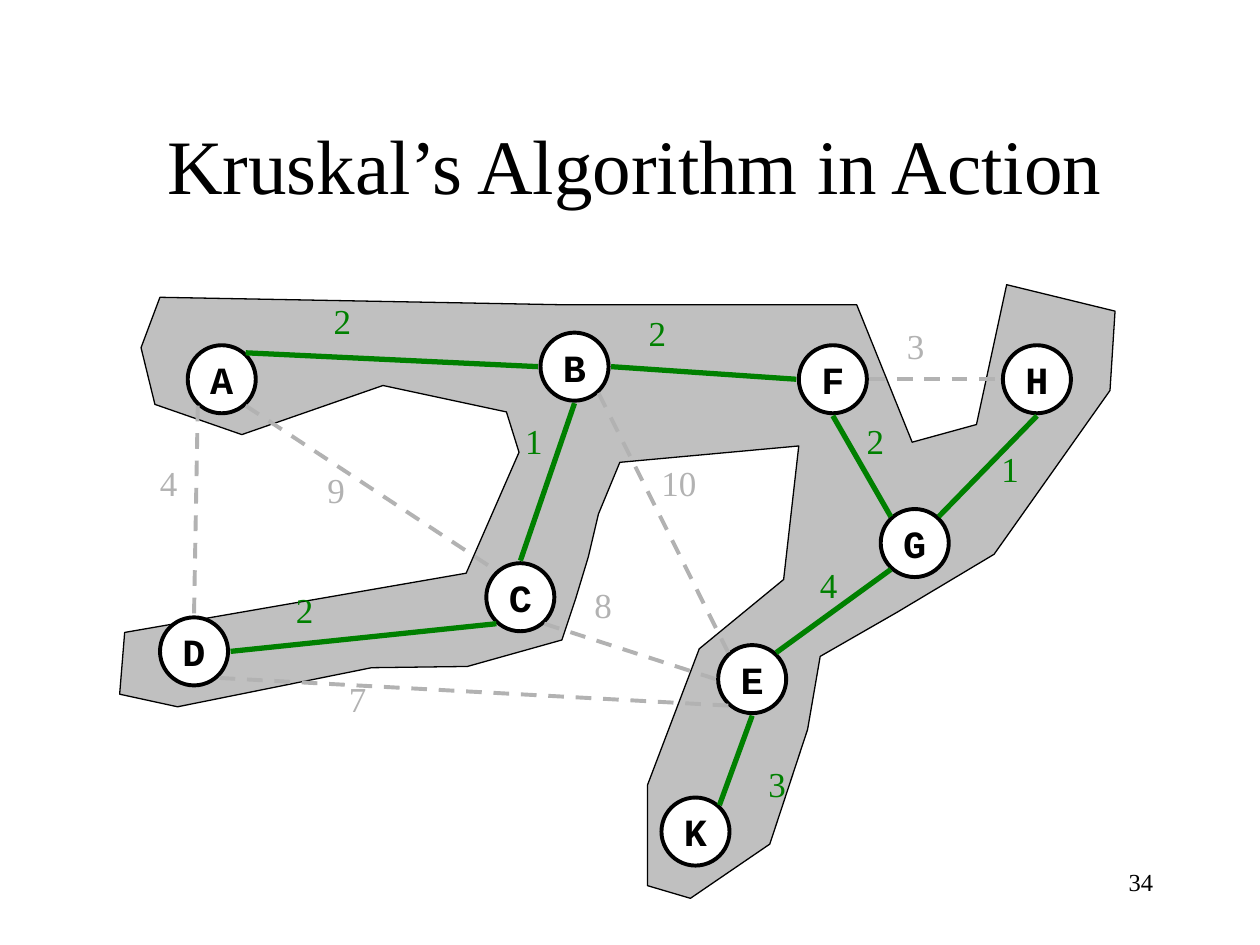
import pptx
import pptx.util
import pptx.dml.color
import pptx.enum.dml
import pptx.enum.shapes
import pptx.enum.text
import pptx.oxml.ns
import lxml.etree

RGB = pptx.dml.color.RGBColor
BLACK = RGB(0x00, 0x00, 0x00)
WHITE = RGB(0xFF, 0xFF, 0xFF)
CLUSTER_GREY = RGB(0xC0, 0xC0, 0xC0)
TREE_GREEN = RGB(0x00, 0x80, 0x00)
REJECTED_GREY = RGB(0xB2, 0xB2, 0xB2)

SERIF, MONO = "Times New Roman", "Courier New"
ALIGN = pptx.enum.text.PP_ALIGN
ANCHOR = pptx.enum.text.MSO_ANCHOR

# The slide is a grid of 10 columns by 7.5 rows of equal size
CELL = pptx.util.Inches(1)
COLUMNS, ROWS = 10, 7.5
NODE_SIZE = 0.54

# Centre of each node: column, row
NODES = {
    "A": (1.76, 3.01), "B": (4.56, 2.91), "C": (4.13, 4.74),
    "D": (1.54, 5.17), "E": (5.97, 5.39), "F": (6.61, 3.01),
    "G": (7.26, 4.31), "H": (8.23, 3.01), "K": (5.52, 6.6),
}

# Where an edge meets a node, as an offset from the node's centre
PORTS = {
    "N": (0, -0.29), "S": (0, 0.29), "W": (-0.29, 0), "E": (0.29, 0),
    "NW": (-0.19, -0.21), "NE": (0.19, -0.21),
    "SW": (-0.19, 0.21), "SE": (0.19, 0.21),
}

# Node, port, node, port, weight, left and top of the weight
TREE_EDGES = [
    ("A", "NE", "B", "W", 2, 2.55, 2.33),
    ("B", "S", "C", "N", 1, 4.07, 3.28),
    ("D", "E", "C", "SW", 2, 2.25, 4.62),
    ("B", "E", "F", "W", 2, 5.05, 2.42),
    ("G", "NW", "F", "S", 2, 6.78, 3.28),
    ("H", "S", "G", "NE", 1, 7.85, 3.5),
    ("E", "NE", "G", "SW", 4, 6.41, 4.42),
    ("E", "S", "K", "NE", 3, 6, 6),
]
REJECTED_EDGES = [
    ("A", "SW", "D", "N", 4, 1.17, 3.61),
    ("A", "SE", "C", "NW", 9, 2.5, 3.67),
    ("C", "SE", "E", "W", 8, 4.62, 4.58),
    ("E", "SW", "D", "SE", 7, 2.67, 5.33),
    ("F", "E", "H", "W", 3, 7.1, 2.53),
    ("B", "SE", "E", "NW", 10, 5.15, 3.61),
]

CLUSTER_OUTLINE = [
    (4.5, 2.42), (1.27, 2.36), (1.12, 2.76), (1.23, 3.21), (1.92, 3.45),
    (3.04, 3.06), (4.02, 3.27), (4.12, 3.59), (3.7, 4.55), (0.99, 5.02),
    (0.95, 5.51), (1.41, 5.61), (2.95, 5.3), (3.71, 5.29), (4.46, 5.08),
    (4.57, 4.75), (4.67, 4.42), (4.75, 4.08), (4.92, 3.67), (6.34, 3.54),
    (6.22, 4.6), (5.55, 5.15), (5.14, 6.23), (5.14, 7.03), (5.48, 7.13),
    (6.11, 6.7), (6.41, 5.79), (6.51, 5.21), (7.12, 4.86), (7.89, 4.4),
    (8.81, 3.1), (8.85, 2.47), (7.99, 2.26), (7.75, 3.37), (7.24, 3.51),
    (6.8, 2.42),
]


def cells(*lengths):
    return [round(length * CELL) for length in lengths]


def write(shape, text, size, color, font=SERIF, bold=False, align=ALIGN.LEFT,
          anchor=ANCHOR.TOP, wrap=False):
    frame = shape.text_frame
    frame.word_wrap = wrap
    frame.vertical_anchor = anchor
    paragraph = frame.paragraphs[0]
    paragraph.text = text
    paragraph.alignment = align
    paragraph.font.name = font
    paragraph.font.size = pptx.util.Pt(size)
    paragraph.font.bold = bold
    paragraph.font.color.rgb = color


def paint(shape, fill, line_width):
    shape.shadow.inherit = False
    shape.fill.solid()
    shape.fill.fore_color.rgb = fill
    shape.line.color.rgb = BLACK
    shape.line.width = pptx.util.Pt(line_width)


def add_text(slide, box, text, size, color, **style):
    label = slide.shapes.add_textbox(*cells(*box))
    write(label, text, size, color, **style)
    return label


def add_cluster(slide):
    start, *corners = [cells(*corner) for corner in CLUSTER_OUTLINE]
    outline = slide.shapes.build_freeform(*start)
    outline.add_line_segments(corners, close=True)
    paint(outline.convert_to_shape(), CLUSTER_GREY, 0.75)


def add_node(slide, name):
    column, row = NODES[name]
    half = NODE_SIZE / 2
    node = slide.shapes.add_shape(
        pptx.enum.shapes.MSO_SHAPE.OVAL,
        *cells(column - half, row - half, NODE_SIZE, NODE_SIZE))
    paint(node, WHITE, 2.25)
    write(node, name, 22, BLACK, font=MONO, bold=True,
          align=ALIGN.CENTER, anchor=ANCHOR.MIDDLE)


def port_position(name, port):
    return [centre + offset for centre, offset in zip(NODES[name], PORTS[port])]


def add_edge(slide, edge, color, width, dash=None):
    first, first_port, second, second_port, weight, left, top = edge
    line = slide.shapes.add_connector(
        pptx.enum.shapes.MSO_CONNECTOR.STRAIGHT,
        *cells(*port_position(first, first_port),
               *port_position(second, second_port)))
    line.line.color.rgb = color
    line.line.width = pptx.util.Pt(width)
    if dash:
        line.line.dash_style = dash
    properties = line._element.spPr
    lxml.etree.SubElement(properties, pptx.oxml.ns.qn("a:effectLst"))

    weight_width = 0.2 + 0.14 * len(str(weight))
    label = add_text(slide, (left, top, weight_width, 0.44),
                     str(weight), 20, color)
    label.text_frame.auto_size = pptx.enum.text.MSO_AUTO_SIZE.SHAPE_TO_FIT_TEXT


def main():
    deck = pptx.Presentation()
    deck.slide_width, deck.slide_height = cells(COLUMNS, ROWS)
    slide = deck.slides.add_slide(deck.slide_layouts[6])

    # Connected cluster behind the graph
    add_cluster(slide)

    # Title
    add_text(slide, (0.25, 0.67, 9.58, 1.25), "Kruskal’s Algorithm in Action",
             44, BLACK, align=ALIGN.CENTER, anchor=ANCHOR.MIDDLE, wrap=True)

    # Graph
    for name in NODES:
        add_node(slide, name)
    for edge in REJECTED_EDGES:
        add_edge(slide, edge, REJECTED_GREY, 2.25,
                 pptx.enum.dml.MSO_LINE.DASH)
    for edge in TREE_EDGES:
        add_edge(slide, edge, TREE_GREEN, 3)

    # Page number
    add_text(slide, (7.17, 6.83, 2.08, 0.5), "34", 14, BLACK,
             align=ALIGN.RIGHT, wrap=True)

    deck.save("out.pptx")


main()
